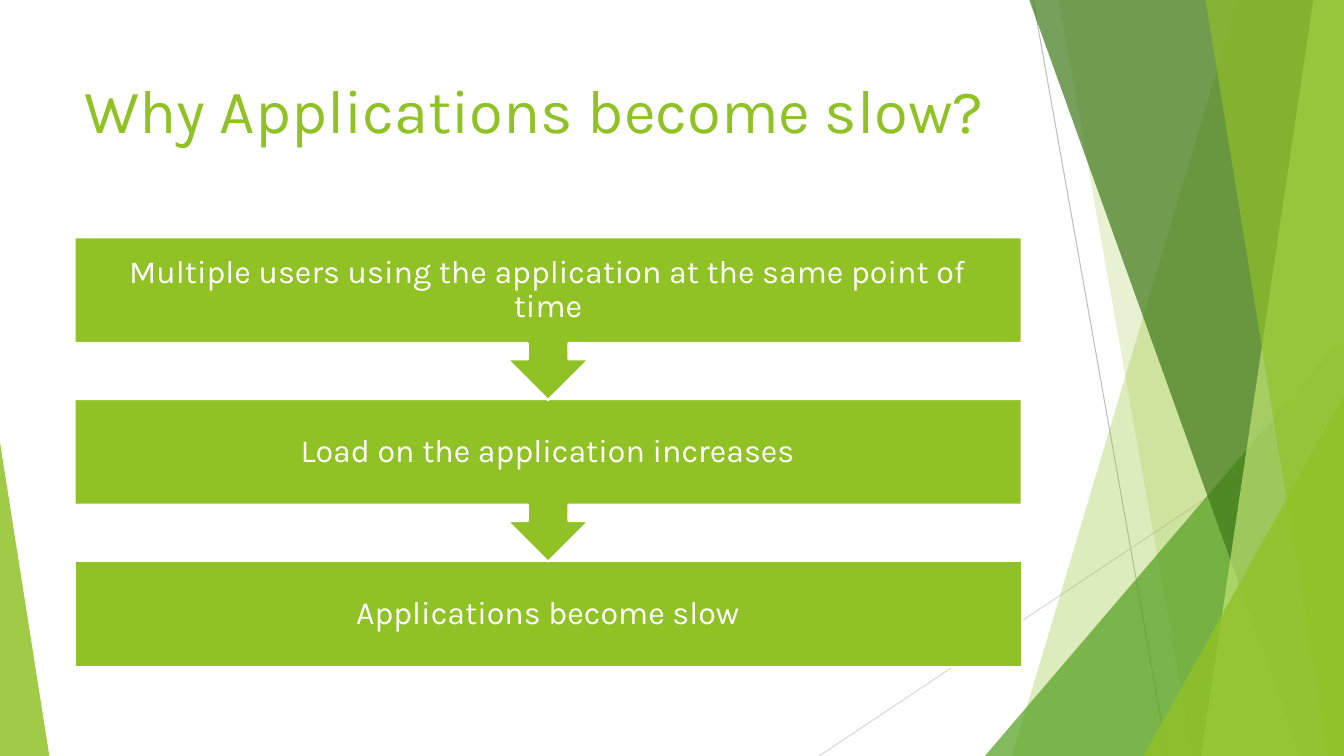
from dataclasses import dataclass

from lxml.etree import SubElement
from pptx import Presentation
from pptx.dml.color import RGBColor
from pptx.enum.shapes import MSO_CONNECTOR as Connector, MSO_SHAPE as Shape
from pptx.enum.text import MSO_ANCHOR as Anchor, PP_ALIGN as Align
from pptx.oxml.ns import qn
from pptx.util import Pt

EMU_PER_PX = 9525
WIDTH, HEIGHT = 1280, 720


@dataclass(frozen=True)
class Theme:
    """Colours, font and type sizes of the slide."""
    lime: str = "90C226"
    leaf: str = "54A021"
    forest: str = "3F7819"
    pale: str = "C0E474"
    white: str = "FFFFFF"
    grey: str = "BFBFBF"
    light_grey: str = "D9D9D9"
    font: str = "Karla"
    title_size: int = 44
    step_size: int = 23


THEME = Theme()


def px(*lengths):
    """Turn px lengths into EMU."""
    return [length * EMU_PER_PX for length in lengths]


def paint(shape, colour, opacity=100, outline=None):
    """Give a shape a flat fill, an optional outline and no shadow."""
    shape.shadow.inherit = False
    shape.fill.solid()
    shape.fill.fore_color.rgb = RGBColor.from_string(colour)
    if opacity < 100:
        colour_element = shape.fill._xPr.find(".//" + qn("a:srgbClr"))
        SubElement(colour_element, qn("a:alpha"), val=str(opacity * 1000))
    if outline:
        shape.line.color.rgb = RGBColor.from_string(outline)
        shape.line.width = Pt(1.5)
    else:
        shape.line.fill.background()


def write(shape, text, size, colour, align, anchor):
    """Set one wrapped paragraph in a shape and return it."""
    frame = shape.text_frame
    frame.word_wrap = True
    frame.vertical_anchor = anchor
    paragraph = frame.paragraphs[0]
    paragraph.alignment = align
    run = paragraph.add_run()
    run.text = text
    run.font.name = THEME.font
    run.font.size = Pt(size)
    run.font.color.rgb = RGBColor.from_string(colour)
    return paragraph


def add_hairline(slide, start, end, colour):
    """Draw a thin straight line between two points."""
    line = slide.shapes.add_connector(Connector.STRAIGHT, *px(*start, *end))
    line.line.color.rgb = RGBColor.from_string(colour)
    line.line.width = Pt(0.75)
    SubElement(line._element.spPr, qn("a:effectLst"))


def add_wedge(slide, top_x, bottom_x, colour, opacity):
    """Fill the area from a slanted edge to the right side of the slide."""
    builder = slide.shapes.build_freeform(top_x, -1, scale=EMU_PER_PX)
    builder.add_line_segments([(WIDTH, -1), (WIDTH, HEIGHT), (bottom_x, HEIGHT)])
    paint(builder.convert_to_shape(), colour, opacity)


def add_corner(slide, left, top, width, apex, colour, opacity):
    """Place a right triangle on the bottom edge, with its apex at 0 or 1."""
    box = px(left, top, width, HEIGHT - top)
    triangle = slide.shapes.add_shape(Shape.ISOSCELES_TRIANGLE, *box)
    triangle.adjustments[0] = apex
    paint(triangle, colour, opacity)


def add_facets(slide):
    """Build the layered green decoration at both sides."""
    add_hairline(slide, (984, 0), (1112, HEIGHT), THEME.grey)
    add_hairline(slide, (WIDTH, 387), (780, HEIGHT), THEME.light_grey)
    add_wedge(slide, 1179, 964, THEME.lime, 30)
    add_wedge(slide, 1008, 1136, THEME.lime, 20)
    add_corner(slide, 938, 320, 342, 1, THEME.leaf, 72)
    add_wedge(slide, 980, 1239, THEME.forest, 70)
    add_wedge(slide, 1251, 1144, THEME.pale, 70)
    add_wedge(slide, 1148, 1265, THEME.lime, 65)
    add_corner(slide, 1089, 377, 191, 1, THEME.lime, 80)
    add_corner(slide, 0, 421, 47, 0, THEME.lime, 85)


def add_title(slide, box, text):
    """Write the heading at the top of its box."""
    title = slide.shapes.add_textbox(*px(*box))
    write(title, text, THEME.title_size, THEME.lime, Align.LEFT, Anchor.TOP)


def add_steps(slide, box, steps):
    """Stack the steps from the last up, each pointing down to the next."""
    left, top, width, height = box
    body_height, inset = 101, 17
    pitch = (height - body_height) // (len(steps) - 1)
    for index, text in reversed(list(enumerate(steps))):
        is_last = index == len(steps) - 1
        kind = Shape.RECTANGLE if is_last else Shape.DOWN_ARROW_CALLOUT
        step_height = body_height if is_last else pitch + 1
        step = slide.shapes.add_shape(
            kind, *px(left, top + index * pitch, width, step_height))
        paint(step, THEME.lime, outline=THEME.white)
        paragraph = write(step, text, THEME.step_size, THEME.white,
                          Align.CENTER, Anchor.MIDDLE)
        paragraph.line_spacing = 0.9
        frame = step.text_frame
        frame.margin_left, frame.margin_right = px(inset, inset)
        frame.margin_top, frame.margin_bottom = px(inset, inset)


def main():
    """Build and save the slide."""
    presentation = Presentation()
    presentation.slide_width, presentation.slide_height = px(WIDTH, HEIGHT)
    slide = presentation.slides.add_slide(presentation.slide_layouts[6])
    add_facets(slide)
    add_title(slide, (71, 64, 902, 138), "Why Applications become slow?")
    add_steps(slide, (71, 226, 902, 409), [
        "Multiple users using the application at the same point of time",
        "Load on the application increases",
        "Applications become slow",
    ])
    presentation.save("out.pptx")


if __name__ == "__main__":
    main()
